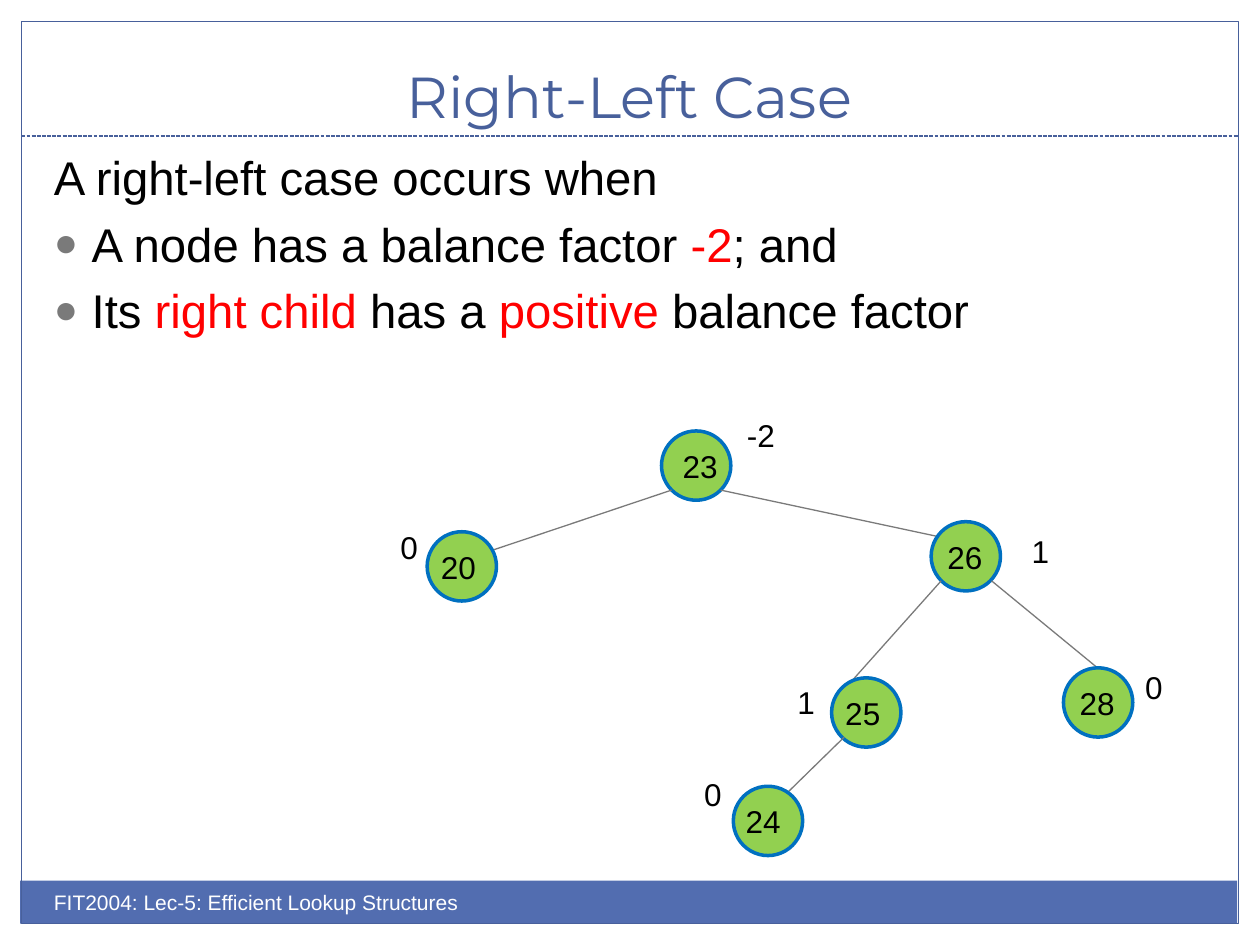
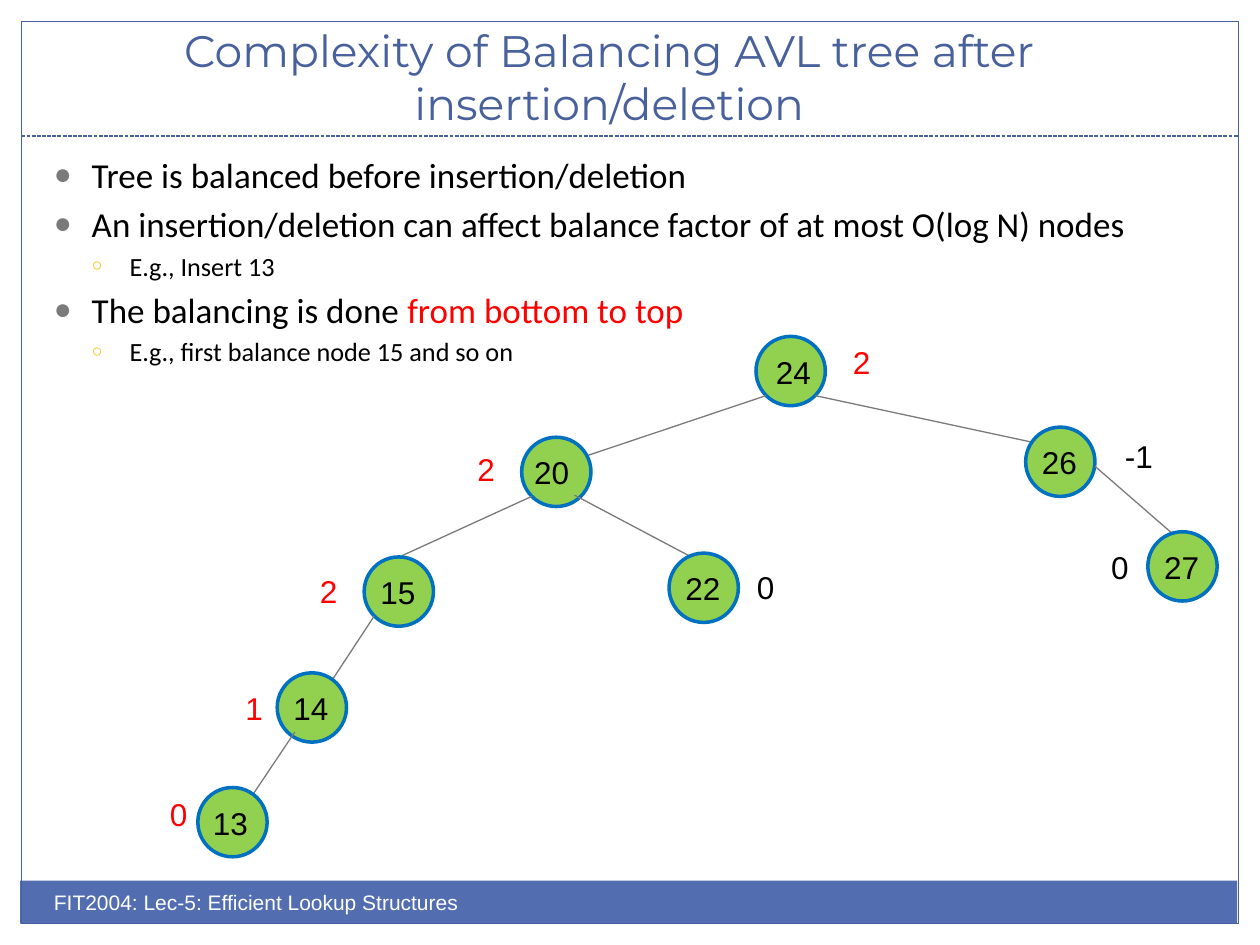
from lxml.etree import SubElement
from pptx import Presentation
from pptx.dml.color import RGBColor
from pptx.enum.dml import MSO_LINE
from pptx.enum.shapes import MSO_CONNECTOR, MSO_SHAPE
from pptx.enum.text import MSO_ANCHOR, MSO_AUTO_SIZE, PP_ALIGN
from pptx.oxml.ns import qn
from pptx.util import Pt

PX = 9144
NODE_SIZE = 55
INDENT = 30
BLACK = RGBColor(0x00, 0x00, 0x00)
WHITE = RGBColor(0xFF, 0xFF, 0xFF)
RED = RGBColor(0xFF, 0x00, 0x00)
GREY = RGBColor(0x7A, 0x7A, 0x7A)
NAVY = RGBColor(0x48, 0x60, 0x9B)
BAND_BLUE = RGBColor(0x52, 0x6D, 0xB0)
NODE_GREEN = RGBColor(0x92, 0xD0, 0x50)
NODE_BLUE = RGBColor(0x00, 0x70, 0xC0)
GOLD = RGBColor(0xF5, 0xC2, 0x01)
BULLETS = [("●", GREY, 85000), ("○", GOLD, 70000)]

lectures = [
    {
        "title": ("Right-Left Case", 33, (33, 25, 933, 83)),
        "body_box": (33, 113, 930, 500),
        "body_font": "Arial",
        "body_sizes": (27,),
        "body": [
            (None, [("A right-left case occurs when", BLACK)]),
            (0, [("A node has a balance factor ", BLACK), ("-2", RED), ("; and", BLACK)]),
            (0, [("Its ", BLACK), ("right child ", RED), ("has a ", BLACK),
                 ("positive", RED), (" balance factor", BLACK)]),
        ],
        "tree": [
            ("23", 525, 342, 7, None, "-2", 583, 325, BLACK),
            ("20", 339, 422, 1, (533, 389, 366, 445), "0", 308, 414, BLACK),
            ("26", 739, 414, 3, (572, 389, 764, 430), "1", 809, 417, BLACK),
            ("28", 844, 530, 3, (787, 461, 871, 530), "0", 899, 525, BLACK),
            ("25", 660, 538, 1, (747, 461, 672, 545), "1", 623, 537, BLACK),
            ("24", 582, 624, 0, (670, 585, 622, 632), "0", 549, 610, BLACK),
        ],
    },
    {
        "title": ("Complexity of Balancing AVL tree after insertion/deletion", 25.2,
                  (-8, 25, 983, 83)),
        "body_box": (33, 117, 884, 210),
        "body_font": "Calibri",
        "body_sizes": (20, 15),
        "body": [
            (0, [("Tree is balanced before insertion/deletion", BLACK)]),
            (0, [("An insertion/deletion can affect balance factor of at most O(log N) nodes", BLACK)]),
            (1, [("E.g., Insert 13", BLACK)]),
            (0, [("The balancing is done ", BLACK), ("from bottom to top", RED)]),
            (1, [("E.g., first balance node 15 and so on", BLACK)]),
        ],
        "tree": [
            ("24", 600, 267, 6, None, "2", 667, 267, RED),
            ("20", 414, 347, 0, (608, 314, 441, 370), "2", 369, 352, RED),
            ("26", 814, 339, 3, (647, 314, 838, 355), "-1", 883, 342, BLACK),
            ("15", 289, 442, 3, (422, 394, 317, 442), "2", 244, 449, RED),
            ("22", 531, 439, 3, (456, 393, 558, 447), "0", 591, 446, BLACK),
            ("27", 911, 422, 3, (869, 370, 938, 430), "0", 872, 430, BLACK),
            ("14", 220, 534, 3, (297, 489, 249, 562), "1", 185, 542, RED),
            ("13", 157, 625, 2, (234, 581, 185, 654), "0", 125, 626, RED),
        ],
    },
]


def write(text, *, shape=None, box=None, sizes=(18,), font="Arial", color=BLACK,
          align=PP_ALIGN.LEFT, anchor=MSO_ANCHOR.TOP, wrap=True):
    left, top, width, height = (value * PX for value in box)
    if shape is None:
        shape = slide.shapes.add_textbox(left, top, width, height)
    else:
        shape.left, shape.top, shape.width, shape.height = left, top, width, height
    frame = shape.text_frame
    frame.word_wrap = wrap
    frame.auto_size = MSO_AUTO_SIZE.NONE
    frame.vertical_anchor = anchor
    paragraphs = [(None, [(text, color)])] if isinstance(text, str) else text
    for number, (level, runs) in enumerate(paragraphs):
        paragraph = frame.add_paragraph() if number else frame.paragraphs[0]
        paragraph.alignment = align
        properties = paragraph._p.get_or_add_pPr()
        if paragraphs is text:
            spacing = SubElement(properties, qn("a:spcBef"))
            SubElement(spacing, qn("a:spcPct"), val="20000")
        if level is not None:
            mark, mark_color, mark_size = BULLETS[level]
            paragraph.level = level
            properties.set("marL", str((level + 1) * INDENT * PX))
            properties.set("indent", str(-INDENT * PX))
            tint = SubElement(properties, qn("a:buClr"))
            SubElement(tint, qn("a:srgbClr"), val=str(mark_color))
            SubElement(properties, qn("a:buSzPct"), val=str(mark_size))
            SubElement(properties, qn("a:buFont"), typeface="Arial")
            SubElement(properties, qn("a:buChar"), char=mark)
        for words, run_color in runs:
            run = paragraph.add_run()
            run.text = words
            run.font.size = Pt(sizes[level or 0])
            run.font.name = font
            run.font.color.rgb = run_color


def draw(kind, box, fill=None, line=None, weight=0.75):
    if isinstance(kind, MSO_CONNECTOR):
        shape = slide.shapes.add_connector(kind, *(value * PX for value in box))
        SubElement(shape._element.spPr, qn("a:effectLst"))
    else:
        shape = slide.shapes.add_shape(kind, *(value * PX for value in box))
        shape.shadow.inherit = False
        if fill is None:
            shape.fill.background()
        else:
            shape.fill.solid()
            shape.fill.fore_color.rgb = fill
    if line is None:
        shape.line.fill.background()
    else:
        shape.line.color.rgb = line
        shape.line.width = Pt(weight)
    return shape


deck = Presentation()
deck.slide_width = 1000 * PX
deck.slide_height = 750 * PX

for lecture in lectures:
    slide = deck.slides.add_slide(deck.slide_layouts[5])

    draw(MSO_SHAPE.RECTANGLE, (16, 699, 966, 34), fill=BAND_BLUE)
    draw(MSO_SHAPE.RECTANGLE, (17, 17, 966, 716), line=NAVY)
    title_rule = draw(MSO_CONNECTOR.STRAIGHT, (17, 108, 983, 108), line=NAVY)
    title_rule.line.dash_style = MSO_LINE.SQUARE_DOT

    heading, heading_size, heading_box = lecture["title"]
    write(heading, shape=slide.shapes.title, box=heading_box, sizes=(heading_size,),
          font="Montserrat", color=NAVY, align=PP_ALIGN.CENTER, anchor=MSO_ANCHOR.BOTTOM)
    write("FIT2004: Lec-5: Efficient Lookup Structures", box=(33, 701, 500, 40),
          sizes=(12,), color=WHITE)
    write(lecture["body"], box=lecture["body_box"], sizes=lecture["body_sizes"],
          font=lecture["body_font"])

    for key, x, y, key_shift, edge, balance, balance_x, balance_y, balance_color in lecture["tree"]:
        if edge:
            draw(MSO_CONNECTOR.STRAIGHT, edge, line=GREY)
        draw(MSO_SHAPE.OVAL, (x, y, NODE_SIZE, NODE_SIZE), fill=NODE_GREEN,
             line=NODE_BLUE, weight=2)
        write(key, box=(x + key_shift, y + 8, 48, 40), wrap=False)
        write(balance, box=(balance_x, balance_y, 25 + 9 * len(balance), 40),
              color=balance_color, wrap=False)

deck.save("out.pptx")
